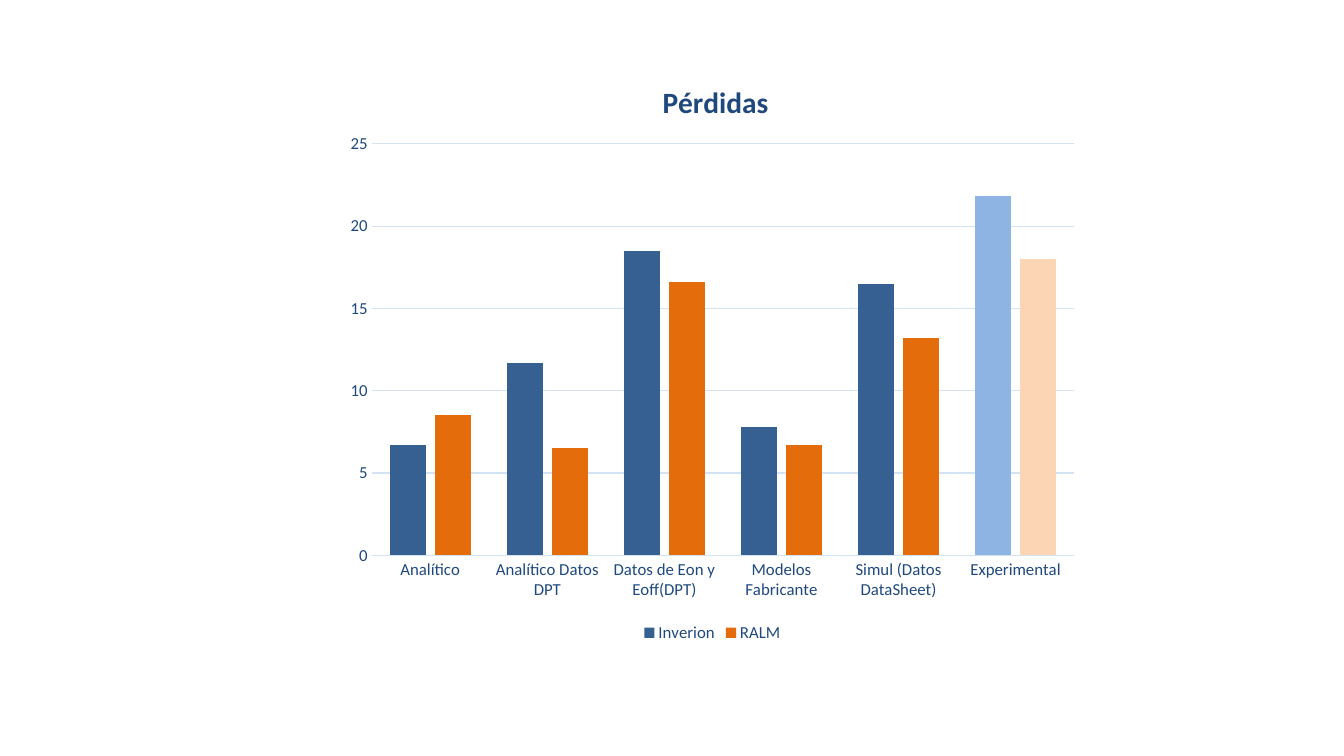
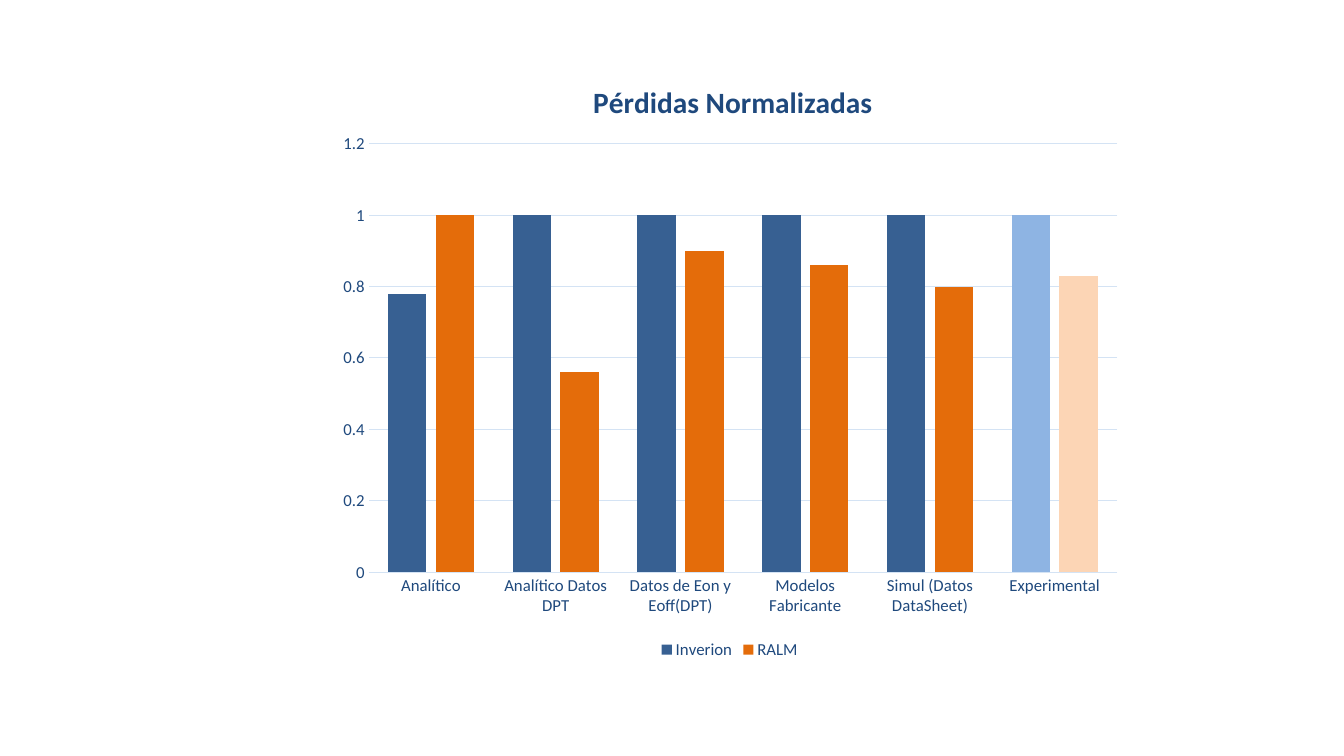
from lxml.etree import SubElement
from pptx import Presentation
from pptx.chart.data import CategoryChartData
from pptx.dml.color import RGBColor
from pptx.enum.chart import XL_CHART_TYPE, XL_LEGEND_POSITION, XL_TICK_MARK
from pptx.oxml.ns import qn
from pptx.util import Pt

PX = 9525
FONT = "Calibri"
NAVY = "1F497D"
GRID = "D4E3F4"
SERIES_COLORS = [("376092", "8EB4E3"), ("E46C0A", "FCD5B5")]
SERIES_NAMES = ["Inverion", "RALM"]
CATEGORIES = [
    "Analítico",
    "Analítico Datos DPT",
    "Datos de Eon y Eoff(DPT)",
    "Modelos Fabricante",
    "Simul (Datos DataSheet)",
    "Experimental",
]
PLOT_TOP, PLOT_RIGHT, PLOT_BOTTOM = 89, 14, 87
TITLE_TOP = 25

CHARTS = [
    {
        "title": "Pérdidas",
        "title_left": 306,
        "box": (320, 48, 717, 568),
        "plot_left": 34,
        "scale": {"minimum_scale": 0, "maximum_scale": 25, "major_unit": 5},
        "values": [[6.7, 11.7, 18.5, 7.8, 16.5, 21.8], [8.5, 6.5, 16.6, 6.7, 13.2, 18]],
    },
    {
        "title": "Pérdidas Normalizadas",
        "title_left": 248,
        "box": (312, 48, 766, 584),
        "plot_left": 39,
        "scale": {"minimum_scale": 0, "maximum_scale": 1.2, "major_unit": 0.2},
        "values": [[0.78, 1, 1, 1, 1, 1], [1, 0.56, 0.9, 0.86, 0.8, 0.83]],
    },
]


def px(length):
    return int(length * PX)


def color(value):
    return RGBColor.from_string(value)


def set_all(target, values):
    for name, value in values.items():
        setattr(target, name, value)


def style_font(font, size, bold=False):
    set_all(font, {"name": FONT, "size": Pt(size), "bold": bold})
    font.color.rgb = color(NAVY)


def style_line(line):
    line.color.rgb = color(GRID)
    line.width = Pt(0.75)


def fill(format, value):
    format.fill.solid()
    format.fill.fore_color.rgb = color(value)
    format.line.fill.background()


def place(element, index, settings):
    layout = element.find(qn("c:layout"))
    if layout is not None:
        element.remove(layout)
    layout = SubElement(element, qn("c:layout"))
    manual = SubElement(layout, qn("c:manualLayout"))
    for tag, value in settings.items():
        SubElement(manual, qn(f"c:{tag}")).set("val", str(value))
    element.insert(index, layout)


def add_title(chart, text, left, width, height):
    chart.has_title = True
    title = chart.chart_title
    title.include_in_layout = False
    title.text_frame.text = text
    style_font(title.text_frame.paragraphs[0].runs[0].font, 21, True)
    place(title._element, 1, {
        "xMode": "edge", "yMode": "edge",
        "x": left / width, "y": TITLE_TOP / height,
    })


def style_axes(chart, scale):
    for axis in (chart.category_axis, chart.value_axis):
        set_all(axis, {
            "major_tick_mark": XL_TICK_MARK.NONE,
            "minor_tick_mark": XL_TICK_MARK.NONE,
        })
        style_font(axis.tick_labels.font, 12)
    style_line(chart.category_axis.format.line)
    values = chart.value_axis
    set_all(values, {"has_major_gridlines": True, **scale})
    values.format.line.fill.background()
    style_line(values.major_gridlines.format.line)
    set_all(values.tick_labels, {"number_format": "General", "number_format_is_linked": False})


def style_bars(plot):
    set_all(plot, {"gap_width": 100, "overlap": -24, "vary_by_categories": False})
    for series, (main, light) in zip(plot.series, SERIES_COLORS):
        series.invert_if_negative = False
        fill(series.format, main)
        fill(series.points[len(CATEGORIES) - 1].format, light)


def add_losses_chart(page, details):
    data = CategoryChartData()
    data.categories = CATEGORIES
    for name, values in zip(SERIES_NAMES, details["values"]):
        data.add_series(name, values)
    frame = page.shapes.add_chart(
        XL_CHART_TYPE.COLUMN_CLUSTERED, *map(px, details["box"]), data
    )
    chart = frame.chart
    style_font(chart.font, 10)
    width, height = details["box"][2:]
    add_title(chart, details["title"], details["title_left"], width, height)
    style_axes(chart, details["scale"])
    style_bars(chart.plots[0])
    chart.has_legend = True
    set_all(chart.legend, {"position": XL_LEGEND_POSITION.BOTTOM, "include_in_layout": False})
    style_font(chart.legend.font, 12)
    left = details["plot_left"]
    place(chart._chartSpace.chart.plotArea, 0, {
        "layoutTarget": "inner", "xMode": "edge", "yMode": "edge",
        "x": left / width,
        "y": PLOT_TOP / height,
        "w": (width - left - PLOT_RIGHT) / width,
        "h": (height - PLOT_TOP - PLOT_BOTTOM) / height,
    })


def main():
    deck = Presentation()
    set_all(deck, {"slide_width": px(1280), "slide_height": px(720)})
    for details in CHARTS:
        add_losses_chart(deck.slides.add_slide(deck.slide_layouts[6]), details)
    deck.save("out.pptx")


if __name__ == "__main__":
    main()
